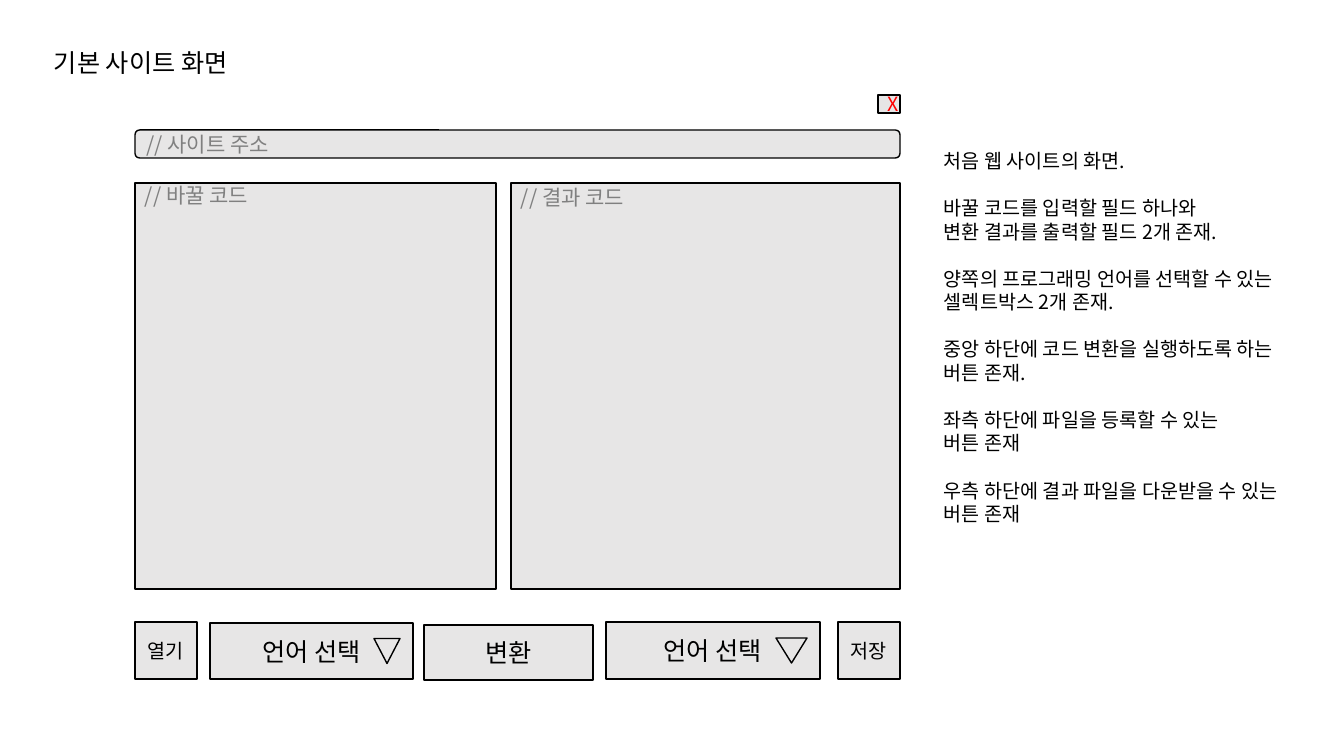
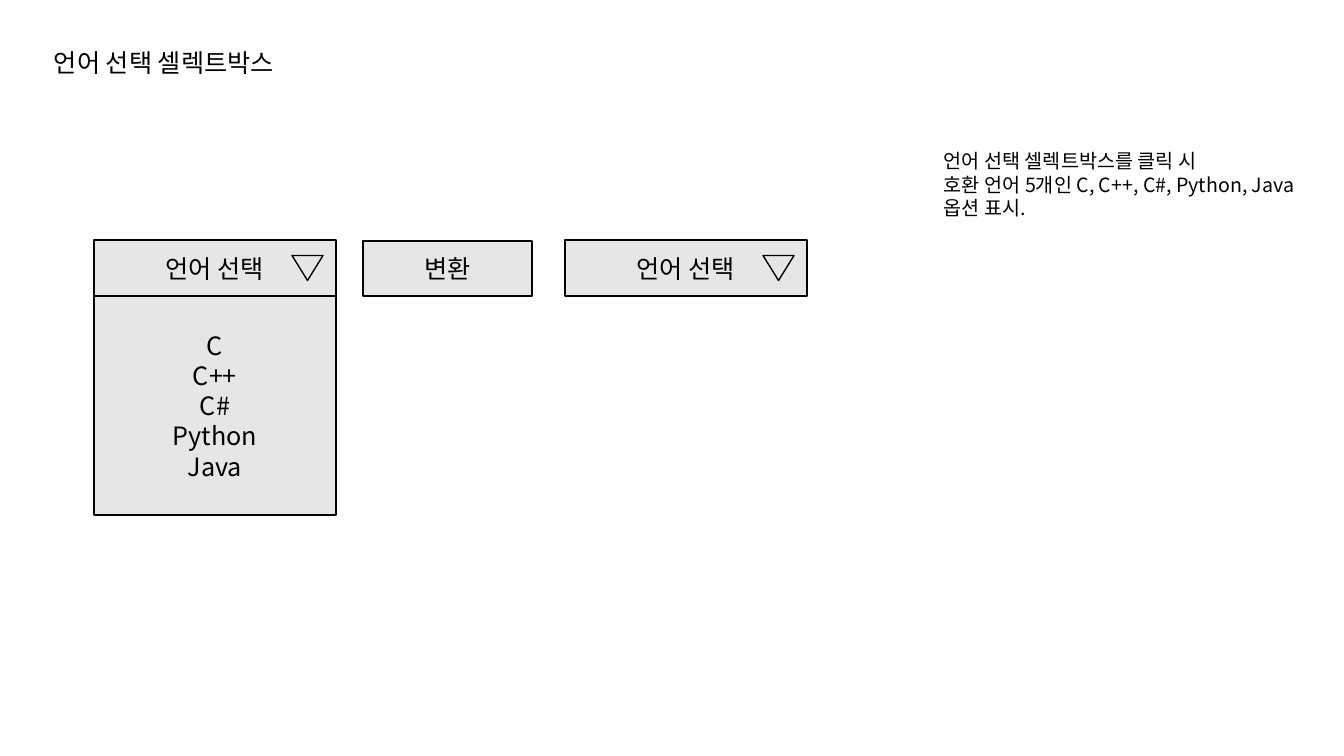
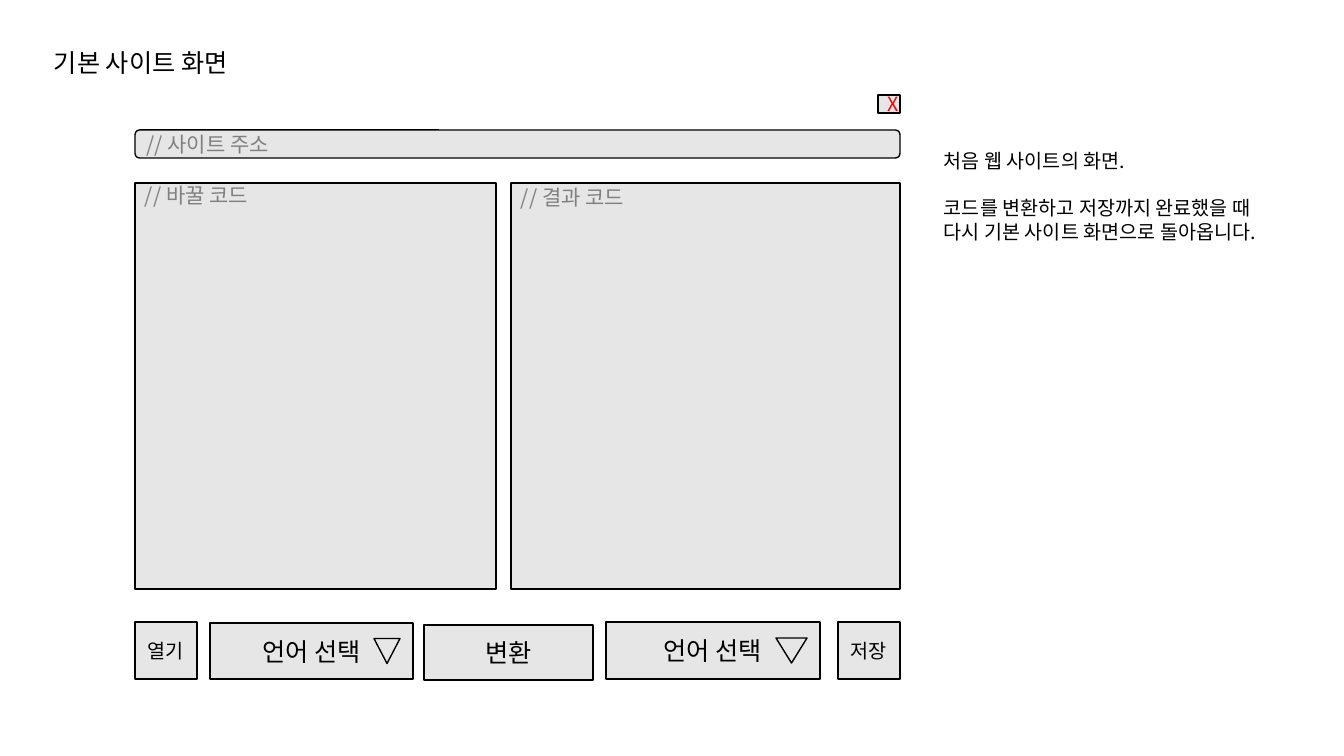
import lxml.etree
import pptx
import pptx.dml.color
import pptx.enum.shapes
import pptx.enum.text
import pptx.oxml.ns
import pptx.util

SCALE = 914400 / 100.8
FONT = "Noto Sans CJK KR"
BLACK, GRAY, PALE, RED = "000000", "808080", "E7E6E6", "FF0000"
KIND = pptx.enum.shapes.MSO_SHAPE
ALIGN = pptx.enum.text.PP_ALIGN
ANCHOR = pptx.enum.text.MSO_ANCHOR

FIRST = "처음 웹 사이트의 화면."
HOME = "기본 사이트 화면"
FIELDS = FIRST + """

바꿀 코드를 입력할 필드 하나와
변환 결과를 출력할 필드 2개 존재.

양쪽의 프로그래밍 언어를 선택할 수 있는
셀렉트박스 2개 존재.

중앙 하단에 코드 변환을 실행하도록 하는
버튼 존재.

좌측 하단에 파일을 등록할 수 있는
버튼 존재

우측 하단에 결과 파일을 다운받을 수 있는
버튼 존재"""
OPTIONS = """언어 선택 셀렉트박스를 클릭 시
호환 언어 5개인 C, C++, C#, Python, Java
옵션 표시."""
RETURN = FIRST + """

코드를 변환하고 저장까지 완료했을 때
다시 기본 사이트 화면으로 돌아옵니다."""


def px(*sizes):
    """Turn pixels into EMU."""
    return [pptx.util.Emu(round(size * SCALE)) for size in sizes]


def paint(color, tone):
    """Give a colour format a hex tone."""
    color.rgb = pptx.dml.color.RGBColor.from_string(tone)


def write(frame, text, size, tone=BLACK, align=ALIGN.LEFT):
    """Write one paragraph per line, turning empty lines into space before."""
    blocks = [block.split("\n") for block in text.split("\n\n")]
    frame.text = "\n".join(line for block in blocks for line in block)
    heads = {sum(map(len, blocks[:i])) for i in range(1, len(blocks))}
    for i, para in enumerate(frame.paragraphs):
        para.alignment = align
        para.font.size = pptx.util.Pt(size)
        paint(para.font.color, tone)
        para.font.name = FONT
        lxml.etree.SubElement(para.font._rPr, pptx.oxml.ns.qn("a:ea"), typeface=FONT)
        if i in heads:
            para.space_before = pptx.util.Pt(size * 1.2)


def box(slide, x, y, w, h, text="", size=18, tone=BLACK, align=ALIGN.CENTER,
        kind=KIND.RECTANGLE):
    """Draw a pale outlined shape with text."""
    shape = slide.shapes.add_shape(kind, *px(x, y, w, h))
    shape.shadow.inherit = False
    shape.fill.solid()
    paint(shape.fill.fore_color, PALE)
    paint(shape.line.color, BLACK)
    shape.line.width = pptx.util.Pt(1)
    shape.text_frame.vertical_anchor = ANCHOR.MIDDLE
    if text:
        write(shape.text_frame, text, size, tone, align)
    return shape


def label(slide, x, y, w, h, text, size, wrap):
    """Place plain text."""
    frame = slide.shapes.add_textbox(*px(x, y, w, h)).text_frame
    frame.word_wrap = wrap
    write(frame, text, size)


def panel(slide, x, y, w, h, text, inset):
    """Draw a code field with its hint at the top."""
    frame = box(slide, x, y, w, h, text, 15, GRAY, ALIGN.LEFT).text_frame
    frame.vertical_anchor = ANCHOR.TOP
    frame.margin_top = px(inset)[0]


def picker(slide, x, y, w, h, wide=31):
    """Draw a language select box with its arrow."""
    box(slide, x, y, w, h, "언어 선택")
    tall = 25
    arrow = box(slide, x + w - 13 - wide, y + (h - tall) / 2, wide, tall,
                kind=KIND.ISOSCELES_TRIANGLE)
    arrow.rotation = 180


def convert(slide, x, y):
    """Draw the convert button."""
    box(slide, x, y, 169, 55, "변환")


def site(slide, x, y, w):
    """Draw the site window."""
    box(slide, x + w - 22, y, 22, 18, "X", 14, RED)
    box(slide, x, y + 35, w, 28, "// 사이트 주소", 15, GRAY, ALIGN.LEFT,
        KIND.ROUNDED_RECTANGLE)
    panel(slide, x, y + 88, 361, 406, "// 바꿀 코드", 0)
    panel(slide, x + w - 389, y + 88, 389, 406, "// 결과 코드", 2)
    row = y + 527
    for left, text in ((x, "열기"), (x + w - 62, "저장")):
        box(slide, left, row, 62, 57, text, 14)
    picker(slide, x + 75, row + 1, 203, 56, 26)
    convert(slide, x + 289, row + 3)
    picker(slide, x + 471, row, 214, 57)


def menu(slide, x, y):
    """Draw the select boxes with the left one open."""
    w, h = 242, 56
    picker(slide, x, y, w, h)
    box(slide, x, y + h, w, 219, "C\nC++\nC#\nPython\nJava")
    convert(slide, x + 269, y + 1)
    picker(slide, x + 471, y, w, h)


def page(deck, title, notes):
    """Add a slide with its title and side notes."""
    slide = deck.slides.add_slide(deck.slide_layouts[6])
    label(slide, 44, 42, 240, 39, title, 18, False)
    label(slide, 934, 144, 380, 24 * len(notes.split("\n")) + 8, notes, 14, True)
    return slide


def main():
    """Build and save the slides."""
    deck = pptx.Presentation()
    deck.slide_width, deck.slide_height = px(1344, 756)
    site(page(deck, HOME, FIELDS), 135, 95, 765)
    menu(page(deck, "언어 선택 셀렉트박스", OPTIONS), 94, 240)
    site(page(deck, HOME, RETURN), 135, 95, 765)
    deck.save("out.pptx")


main()
